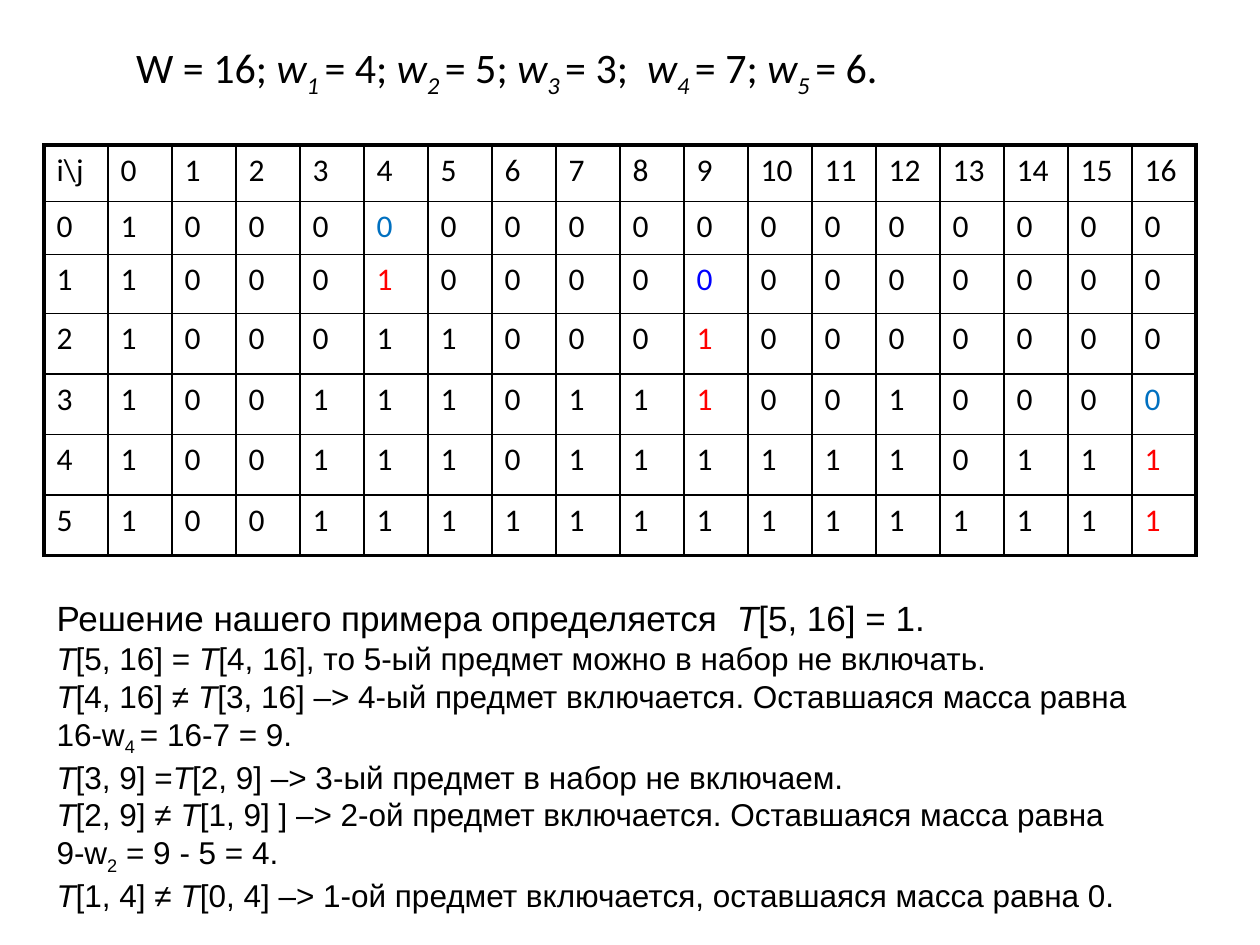
from lxml import etree
from pptx import Presentation
from pptx import util as u
from pptx.dml import color as dml
from pptx.enum import text
from pptx.oxml import ns

BLACK, RED, AZURE, BLUE = "000000", "FF0000", "0070C0", "0000FF"
WEIGHTS = "W = 16; *w_1 _*= 4; *w_2 _*= 5; *w_3 _*= 3;  *w_4 _*= 7; *w_5 _*= 6."
REACHABLE = [
    "10000000000000000",
    "10001000000000000",
    "10001100010000000",
    "10011101110010000",
    "10011101111110111",
    "10011111111111111",
]
HIGHLIGHTS = {
    (0, 4): AZURE, (1, 4): RED, (1, 9): BLUE, (2, 9): RED,
    (3, 9): RED, (3, 16): AZURE, (4, 16): RED, (5, 16): RED,
}
SOLUTION = [
    "Решение нашего примера определяется  *T*[5, 16] = 1.",
    "*T*[5, 16] = *T*[4, 16], то 5-ый предмет можно в набор не включать.",
    "*T*[4, 16] ≠ *T*[3, 16] –> 4-ый предмет включается. Оставшаяся масса равна",
    "16-w_4 _= 16-7 = 9.",
    "*T*[3, 9] =*T*[2, 9] –> 3-ый предмет в набор не включаем.",
    "*T*[2, 9] ≠ *T*[1, 9] ] –> 2-oй предмет включается. Оставшаяся масса равна",
    "9-w_2_ = 9 - 5 = 4.",
    "*T*[1, 4] ≠ *T*[0, 4] –> 1-oй предмет включается, оставшаяся масса равна 0.",
]


def rgb(value):
    """Return the colour for a hex string."""
    return dml.RGBColor.from_string(value)


def write(para, content, size=18, font="Calibri", color=BLACK):
    """Fill a paragraph; *...* marks italics and _..._ marks subscripts."""
    para.alignment = text.PP_ALIGN.LEFT
    for i, chunk in enumerate(content.split("*")):
        for j, part in enumerate(chunk.split("_")):
            if not part:
                continue
            span = para.add_run()
            span.text = part
            span.font.name = font
            span.font.size = u.Pt(size)
            span.font.italic = i % 2 == 1
            span.font.color.rgb = rgb(color)
            if j % 2:
                span.font._element.set("baseline", "-25000")


def add_border(cell, side, width):
    """Draw one black side (L, R, T or B) of a table cell."""
    line = etree.SubElement(cell._tc.get_or_add_tcPr(), ns.qn(f"a:ln{side}"), w=str(u.Pt(width)))
    fill = etree.SubElement(line, ns.qn("a:solidFill"))
    etree.SubElement(fill, ns.qn("a:srgbClr"), val=BLACK)


def place_heading(page, left, top, width, height):
    """Put the list of weights into the title placeholder."""
    title = page.shapes.title
    title.left, title.top, title.width, title.height = left, top, width, height
    frame = title.text_frame
    frame.auto_size = text.MSO_AUTO_SIZE.NONE
    frame.vertical_anchor = text.MSO_ANCHOR.TOP
    write(frame.paragraphs[0], WEIGHTS, size=24)


def place_table(page, left, top, width, heights):
    """Draw the table of reachable weights with a thick outer frame."""
    rows = [["i\\j", *map(str, range(17))]]
    rows += [[str(i), *values] for i, values in enumerate(REACHABLE)]
    last_row, last_col = len(rows) - 1, len(rows[0]) - 1
    table = page.shapes.add_table(len(rows), len(rows[0]), left, top, width, sum(heights)).table
    table.first_row = table.horz_banding = False
    for column in table.columns:
        column.width = width // len(rows[0])
    for r, values in enumerate(rows):
        table.rows[r].height = heights[r]
        for c, value in enumerate(values):
            cell = table.cell(r, c)
            write(cell.text_frame.paragraphs[0], value, color=HIGHLIGHTS.get((r - 1, c - 1), BLACK))
            outer = {"L": c == 0, "R": c == last_col, "T": r == 0, "B": r == last_row}
            for side, thick in outer.items():
                add_border(cell, side, 2.25 if thick else 1)
            cell.fill.background()


def place_solution(page, left, top, width, height):
    """Write the steps that trace the chosen items back."""
    frame = page.shapes.add_textbox(left, top, width, height).text_frame
    frame.word_wrap = True
    frame.auto_size = text.MSO_AUTO_SIZE.SHAPE_TO_FIT_TEXT
    for i, step in enumerate(SOLUTION):
        para = frame.add_paragraph() if i else frame.paragraphs[0]
        write(para, step, size=18 if i else 20, font="Arial")


def main():
    """Build and save the slide."""
    deck = Presentation()
    deck.slide_width, deck.slide_height = u.Cm(25.4), u.Cm(19.05)
    page = deck.slides.add_slide(deck.slide_layouts[5])
    place_heading(page, u.Cm(2.49), u.Cm(0.71), u.Cm(17.91), u.Cm(1.8))
    heights = [u.Cm(h) for h in (1.14, 1.07, 1.19, 1.22, 1.22, 1.22, 1.22)]
    place_table(page, u.Cm(0.89), u.Cm(2.92), u.Cm(23.22), heights)
    place_solution(page, u.Cm(0.89), u.Cm(11.91), u.Cm(23.19), u.Cm(7.21))
    deck.save("out.pptx")


if __name__ == "__main__":
    main()
